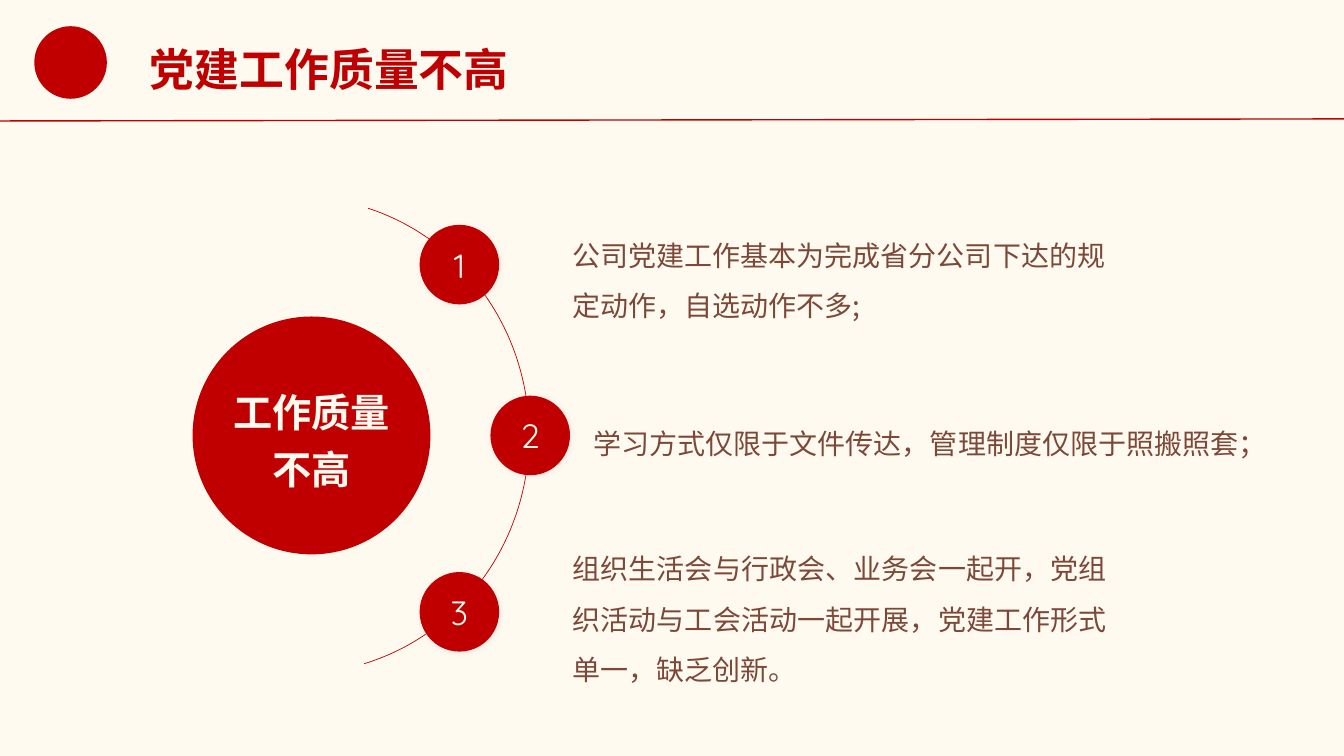
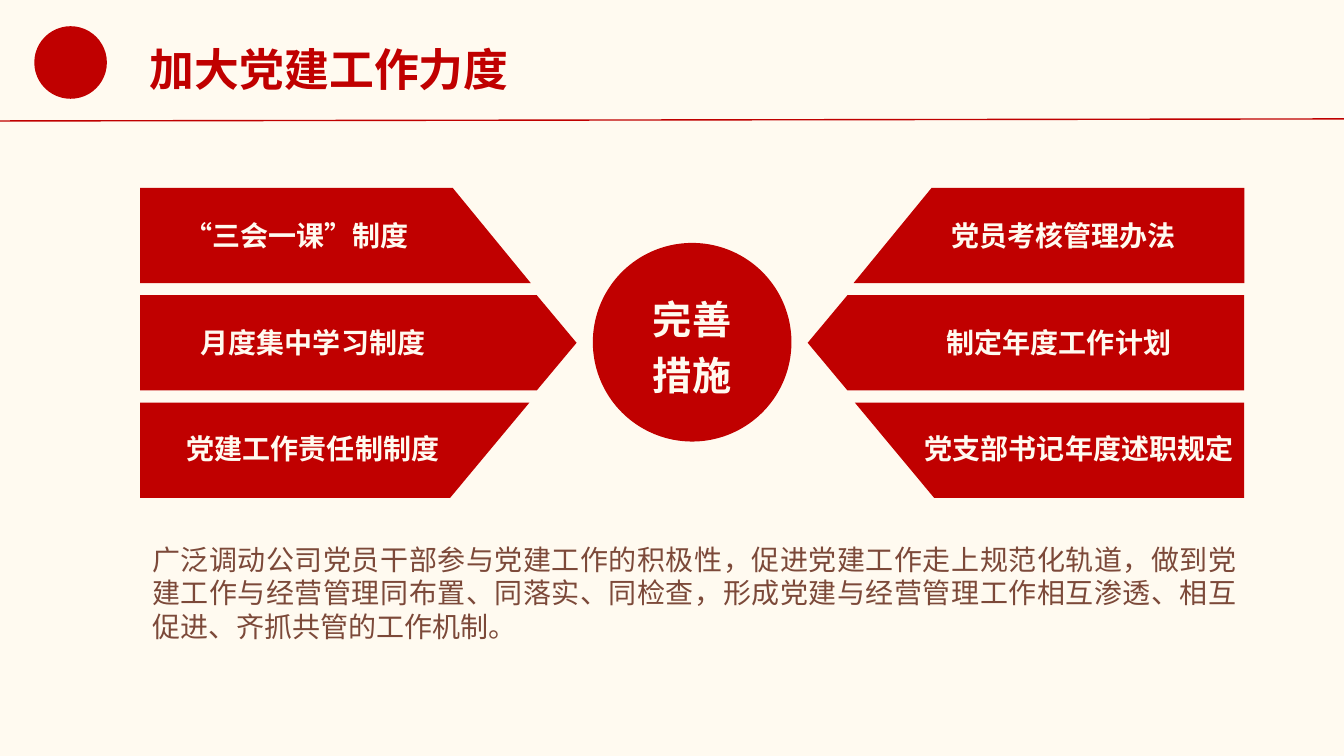
import lxml.etree
import pptx
import pptx.dml.color
import pptx.enum.shapes
import pptx.enum.text
import pptx.oxml.ns
import pptx.util

RED = pptx.dml.color.RGBColor(0xC0, 0x00, 0x00)
CREAM = pptx.dml.color.RGBColor(0xFF, 0xFA, 0xF0)
BROWN = pptx.dml.color.RGBColor(0x7C, 0x49, 0x39)
HAN_FONT = "Noto Sans CJK SC"
DIGIT_FONT = "Quicksand"

SLIDE_WIDTH = pptx.util.Inches(13.333)
SLIDE_HEIGHT = pptx.util.Inches(7.5)
PRESET = pptx.enum.shapes.MSO_SHAPE
ALIGN = pptx.enum.text.PP_ALIGN
qn = pptx.oxml.ns.qn

# Mirrored panels of the measures slide, in percent of the slide
AXIS = 51.5
OUTER_EDGE = 10.42
PANEL_TOP, PANEL_HEIGHT, PANEL_PITCH = 24.85, 12.6, 14.2
LABEL_TOP, LABEL_HEIGHT, LABEL_PITCH = 28.27, 5.87, 14.07
# Inner outline of each panel row: (x, share of the panel height)
PANEL_EDGES = [
    [(33.68, 0), (39.49, 1)],
    [(39.94, 0), (42.9, 0.5), (39.94, 1)],
    [(39.4, 0), (33.5, 1)],
]


def across(percent):
    return round(SLIDE_WIDTH * percent / 100)


def down(percent):
    return round(SLIDE_HEIGHT * percent / 100)


def box(left, top, width, height):
    return across(left), down(top), across(width), down(height)


# Text
def write(frame, lines, size, color, bold=False, align=ALIGN.LEFT,
          spacing=None, font_name=HAN_FONT):
    for index, line in enumerate(lines):
        paragraph = frame.add_paragraph() if index else frame.paragraphs[0]
        paragraph.alignment = align
        if spacing:
            paragraph.line_spacing = spacing
        run = paragraph.add_run()
        run.text = line
        run.font.size = pptx.util.Pt(size)
        run.font.bold = bold
        run.font.color.rgb = color
        run.font.name = font_name
        east_asian = lxml.etree.SubElement(run.font._element, qn("a:ea"))
        east_asian.set("typeface", font_name)


def text_box(slide, place, text, size, color, wrap=True, **style):
    frame = slide.shapes.add_textbox(*box(*place)).text_frame
    frame.word_wrap = wrap
    frame.auto_size = pptx.enum.text.MSO_AUTO_SIZE.SHAPE_TO_FIT_TEXT
    write(frame, [text], size, color, **style)


# Shapes
def paint(shape):
    shape.shadow.inherit = False
    shape.fill.solid()
    shape.fill.fore_color.rgb = RED
    shape.line.fill.background()


def disc(slide, center_x, center_y, diameter, lines=(), size=28, **style):
    side = across(diameter)
    shape = slide.shapes.add_shape(
        PRESET.OVAL, across(center_x) - side // 2,
        down(center_y) - side // 2, side, side)
    paint(shape)
    frame = shape.text_frame
    frame.margin_left = frame.margin_right = 0
    frame.margin_top = frame.margin_bottom = 0
    frame.vertical_anchor = pptx.enum.text.MSO_ANCHOR.MIDDLE
    write(frame, lines, size, CREAM, align=ALIGN.CENTER, **style)
    return shape


def soft_shadow(shape):
    effects = shape._element.spPr.find(qn("a:effectLst"))
    shadow = lxml.etree.SubElement(
        effects, qn("a:outerShdw"), blurRad="50800", dist="12700",
        dir="2700000", algn="tl", rotWithShape="0")
    tint = lxml.etree.SubElement(shadow, qn("a:srgbClr"), val="CCCCCC")
    lxml.etree.SubElement(tint, qn("a:alpha"), val="36000")


def orbit(slide, place, start_degrees, end_degrees):
    arc = slide.shapes.add_shape(PRESET.ARC, *box(*place))
    arc.shadow.inherit = False
    arc.fill.background()
    arc.line.color.rgb = RED
    arc.line.width = pptx.util.Pt(0.5)
    # An angle is stored in 60000ths of a degree, adjustments in 100000ths
    arc.adjustments[0] = start_degrees * 0.6
    arc.adjustments[1] = end_degrees * 0.6


def panel(slide, row, mirrored):
    top = PANEL_TOP + row * PANEL_PITCH
    outline = [(OUTER_EDGE, 0)] + PANEL_EDGES[row] + [(OUTER_EDGE, 1)]
    points = [(across(2 * AXIS - x if mirrored else x),
               down(top + share * PANEL_HEIGHT)) for x, share in outline]
    builder = slide.shapes.build_freeform(*points[0])
    builder.add_line_segments(points[1:], close=True)
    paint(builder.convert_to_shape())


# Header shared by the slides
def titled_slide(deck, title):
    slide = deck.slides.add_slide(deck.slide_layouts[6])
    slide.background.fill.solid()
    slide.background.fill.fore_color.rgb = CREAM
    disc(slide, 5.25, 8.27, 5.4)
    rule = slide.shapes.add_connector(
        pptx.enum.shapes.MSO_CONNECTOR.STRAIGHT,
        0, down(16), across(100), down(15.73))
    rule.line.color.rgb = RED
    rule.line.width = pptx.util.Pt(1)
    lxml.etree.SubElement(rule._element.spPr, qn("a:effectLst"))
    text_box(slide, (10.42, 4.8, 28.42, 8.53), title, 32, RED,
             wrap=False, bold=True)
    return slide


def problem_slide(deck):
    slide = titled_slide(deck, "党建工作质量不高")
    disc(slide, 23.18, 57.6, 17.7, ["工作质量", "不高"],
         bold=True, spacing=1.2)
    orbit(slide, (5.25, 26.13, 34.12, 62.93), 286.75, 74.3)

    # Numbered problems: disc centre, text place, alignment, text
    problems = [
        ((34.18, 35), (41.85, 28.67, 41.25, 14), ALIGN.LEFT,
         "公司党建工作基本为完成省分公司下达的规定动作，自选动作不多;"),
        ((39.45, 57.6), (43.42, 53.6, 54.9, 8.13), ALIGN.JUSTIFY,
         "学习方式仅限于文件传达，管理制度仅限于照搬照套；"),
        ((34.18, 80.93), (41.85, 70.13, 41.25, 21.6), ALIGN.JUSTIFY,
         "组织生活会与行政会、业务会一起开，党组织活动与工会活动一起开展，"
         "党建工作形式单一，缺乏创新。"),
    ]
    for number, (center, place, align, text) in enumerate(problems, 1):
        marker = disc(slide, *center, 5.92, [str(number)], size=24,
                      font_name=DIGIT_FONT)
        soft_shadow(marker)
        text_box(slide, place, text, 20, BROWN, align=align, spacing=1.5)


def measures_slide(deck):
    slide = titled_slide(deck, "加大党建工作力度")
    disc(slide, AXIS, 45.27, 14.78, ["完善", "措施"], bold=True, spacing=1.2)

    # Measures on each side: label left, label width, text
    left_measures = [
        (12.6, 18.98, "“三会一课”制度"),
        (12.6, 21.38, "月度集中学习制度"),
        (10.65, 25.28, "党建工作责任制制度"),
    ]
    right_measures = [
        (67.95, 22.35, "党员考核管理办法"),
        (67.28, 23.03, "制定年度工作计划"),
        (66.23, 28.13, "党支部书记年度述职规定"),
    ]
    for mirrored, measures in ((False, left_measures), (True, right_measures)):
        for row, (left, width, text) in enumerate(measures):
            panel(slide, row, mirrored)
            label_top = LABEL_TOP + row * LABEL_PITCH
            text_box(slide, (left, label_top, width, LABEL_HEIGHT), text,
                     20, CREAM, bold=True, align=ALIGN.CENTER)

    # Summary
    text_box(slide, (10.58, 71.07, 82.2, 14.8),
             "广泛调动公司党员干部参与党建工作的积极性，促进党建工作走上规范化轨道，"
             "做到党建工作与经营管理同布置、同落实、同检查，形成党建与经营管理工作"
             "相互渗透、相互促进、齐抓共管的工作机制。",
             20, BROWN, align=ALIGN.JUSTIFY)


def main():
    deck = pptx.Presentation()
    deck.slide_width = SLIDE_WIDTH
    deck.slide_height = SLIDE_HEIGHT
    problem_slide(deck)
    measures_slide(deck)
    deck.save("out.pptx")


if __name__ == "__main__":
    main()
